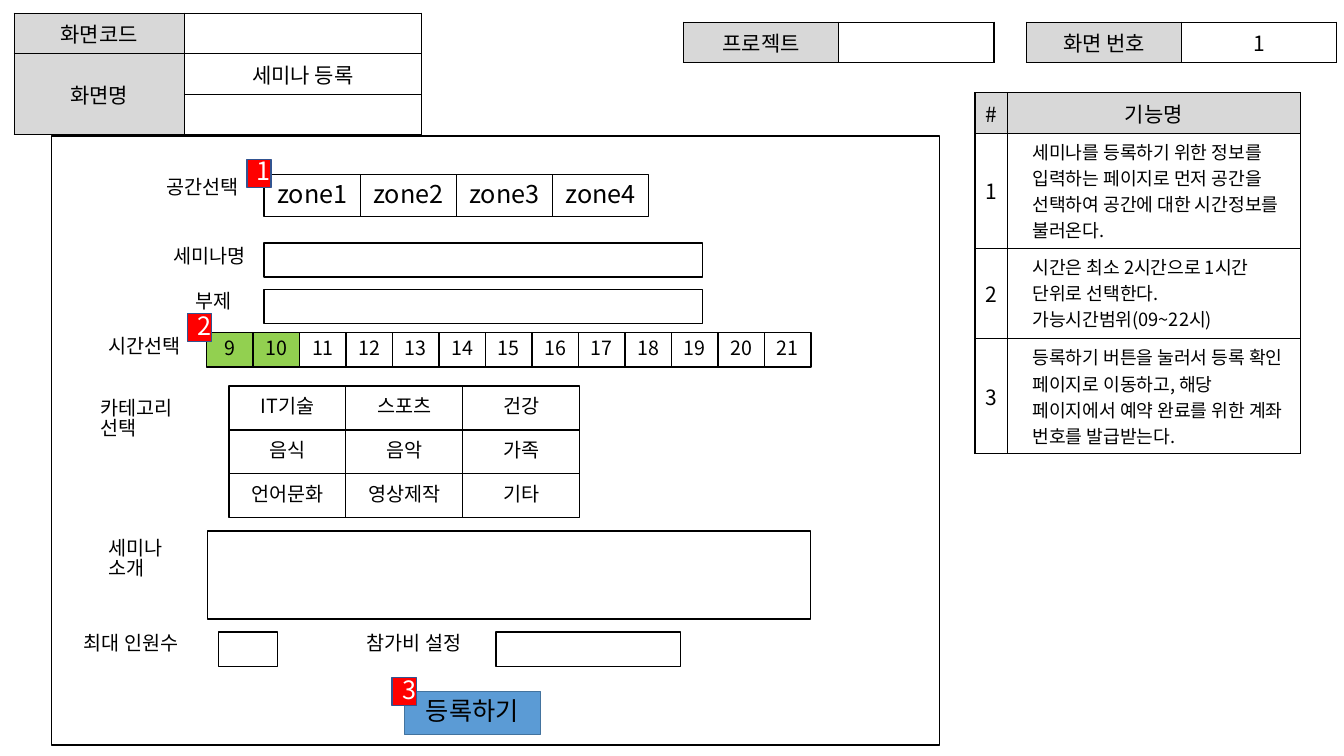
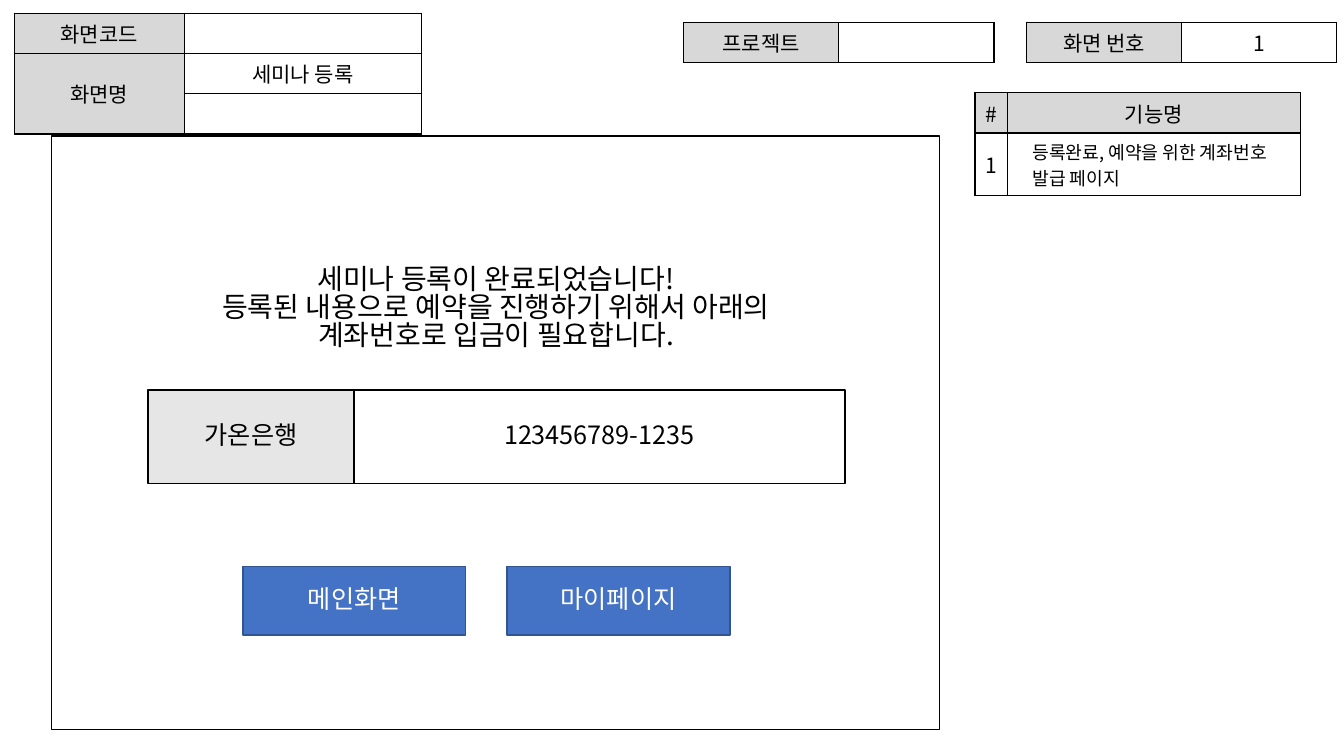
from lxml.etree import SubElement
from pptx import Presentation
from pptx.dml.color import RGBColor
from pptx.enum.shapes import MSO_SHAPE
from pptx.enum.text import MSO_ANCHOR, PP_ALIGN
from pptx.oxml import parse_xml
from pptx.oxml.ns import nsdecls, qn
from pptx.util import Inches, Pt

FONT = "Noto Sans CJK KR"
BLACK, WHITE, GRAY = "000000", "FFFFFF", "D8D8D8"
NAVY = "325491"
BORDER = (
    '<a:{side} {ns} w="12700"><a:solidFill><a:srgbClr val="{color}"/>'
    "</a:solidFill></a:{side}>"
)

# Each style: text size, text colour, fill, line, alignment, anchor, line spacing
BASE = dict(size=14, color=BLACK, fill=None, line=BLACK,
            align=PP_ALIGN.CENTER, anchor=MSO_ANCHOR.MIDDLE, spacing=0.83)
LABEL = dict(BASE, line=None, align=PP_ALIGN.LEFT, anchor=MSO_ANCHOR.TOP)
STYLES = {
    "field": BASE,
    "label": LABEL,
    "message": dict(LABEL, size=20, align=PP_ALIGN.CENTER),
    "picked": dict(BASE, fill="92D050"),
    "zone": dict(BASE, size=18),
    "bank": dict(BASE, size=18, fill="E7E6E6"),
    "submit": dict(BASE, size=18, fill="5B9BD5", line="43739E"),
    "button": dict(BASE, size=18, color=WHITE, fill="4472C4", line=NAVY),
    "badge": dict(BASE, size=18, color=WHITE, fill="FF0000", line=NAVY),
}
CELL = dict(BASE, size=15, spacing=1.0)
DESCRIPTION = dict(CELL, size=13, align=PP_ALIGN.LEFT, anchor=MSO_ANCHOR.TOP)


def write_text(text_frame, text, style):
    """Write one paragraph per line of text in the given style."""
    for index, line in enumerate(text.split("\n")):
        paragraph = text_frame.paragraphs[0] if index == 0 else text_frame.add_paragraph()
        paragraph.alignment = style["align"]
        paragraph.line_spacing = style["spacing"]
        if not line:
            SubElement(paragraph._p, qn("a:endParaRPr"), sz=str(style["size"] * 100))
            continue
        run = paragraph.add_run()
        run.text = line
        for name, value in dict(name=FONT, size=Pt(style["size"])).items():
            setattr(run.font, name, value)
        run.font.color.rgb = RGBColor.from_string(style["color"])
        SubElement(run._r.get_or_add_rPr(), qn("a:ea"), typeface=FONT)


def add_box(slide, place, text, style):
    """Add a rectangle, or a text box when the style has no line."""
    place = [Inches(length) for length in place]
    if style["line"] is None:
        shape = slide.shapes.add_textbox(*place)
    else:
        shape = slide.shapes.add_shape(MSO_SHAPE.RECTANGLE, *place)
        shape.shadow.inherit = False
        shape.line.color.rgb = RGBColor.from_string(style["line"])
        shape.line.width = Pt(1)
        if style["fill"]:
            shape.fill.solid()
            shape.fill.fore_color.rgb = RGBColor.from_string(style["fill"])
        else:
            shape.fill.background()
    shape.text_frame.word_wrap = True
    shape.text_frame.vertical_anchor = style["anchor"]
    write_text(shape.text_frame, text, style)


# Registration form: (place, text, style name)
form = [
    ((1.62, 2.41, 1.12, 0.34), "세미나명", "label"),
    ((2.62, 2.41, 4.35, 0.34), "", "field"),
    ((1.84, 2.86, 0.67, 0.34), "부제", "label"),
    ((2.62, 2.87, 4.35, 0.34), "", "field"),
    ((0.98, 3.3, 1.02, 0.34), "시간선택", "label"),
    ((1.55, 1.73, 1.02, 0.34), "공간선택", "label"),
    ((0.9, 3.92, 1.02, 0.57), "카테고리선택", "label"),
    ((0.98, 5.31, 0.86, 0.57), "세미나 소개", "label"),
    ((2.06, 5.27, 5.98, 0.87), "", "field"),
    ((4.01, 6.86, 1.35, 0.43), "등록하기", "submit"),
    ((0.73, 6.25, 1.52, 0.34), "최대 인원수", "label"),
    ((2.17, 6.27, 0.58, 0.34), "", "field"),
    ((3.54, 6.25, 1.52, 0.34), "참가비 설정", "label"),
    ((4.92, 6.27, 1.83, 0.34), "", "field"),
]
for index in range(4):
    form.append(((2.62 + index * 0.953, 1.73, 0.953, 0.42), f"zone{index + 1}", "zone"))
for index, hour in enumerate(range(9, 22)):
    style_name = "picked" if hour <= 10 else "field"
    form.append(((2.05 + index * 0.461, 3.3, 0.461, 0.34), str(hour), style_name))
categories = ["IT기술", "스포츠", "건강", "음식", "음악", "가족", "언어문화", "영상제작", "기타"]
for index, category in enumerate(categories):
    row, column = divmod(index, 3)
    place = (2.27 + column * 1.16, 3.83 + row * 0.435, 1.16, 0.435)
    form.append((place, category, "field"))
for number, (left, top) in enumerate([(2.45, 1.58), (1.86, 3.11), (3.89, 6.72)], 1):
    form.append(((left, top, 0.24, 0.28), str(number), "badge"))

confirmation = [
    ((1.64, 2.6, 6.56, 1.11),
     "세미나 등록이 완료되었습니다!\n"
     "등록된 내용으로 예약을 진행하기 위해서 아래의 계좌번호로 입금이 필요합니다.", "message"),
    ((5.03, 5.62, 2.21, 0.68), "마이페이지", "button"),
    ((2.41, 5.62, 2.21, 0.68), "메인화면", "button"),
    ((1.47, 3.87, 2.04, 0.93), "가온은행", "bank"),
    ((3.51, 3.87, 4.87, 0.93), "123456789-1235", "zone"),
]

# Each screen: frame height, boxes, functions as (row height, description)
screens = [
    (6.04, form, [
        (1.14, "세미나를 등록하기 위한 정보를 입력하는 페이지로 먼저 공간을 선택하여 "
               "공간에 대한 시간정보를 불러온다."),
        (0.9, "시간은 최소 2시간으로 1시간 단위로 선택한다.\n가능시간범위(09~22시)"),
        (1.14, "등록하기 버튼을 눌러서 등록 확인 페이지로 이동하고, 해당 페이지에서 "
               "예약 완료를 위한 계좌 번호를 발급받는다."),
    ]),
    (5.89, confirmation, [(0.62, "등록완료, 예약을 위한 계좌번호 발급 페이지")]),
]

# Header tables on every screen: left, top, column widths, row heights, texts
header_tables = [
    (0.14, 0.13, [1.69, 2.35], [0.4] * 3,
     [["화면코드", ""], ["화면명", "세미나 등록"], [None, ""]]),
    (10.18, 0.22, [1.54] * 2, [0.4], [["화면 번호", "1"]]),
    (6.78, 0.22, [1.54] * 2, [0.4], [["프로젝트", ""]]),
]

presentation = Presentation()
presentation.slide_width = Inches(13.33)
presentation.slide_height = Inches(7.5)

for frame_height, boxes, functions in screens:
    slide = presentation.slides.add_slide(presentation.slide_layouts[6])
    function_table = (
        9.67, 0.92, [0.32, 2.91], [0.4] + [height for height, _ in functions],
        [["#", "기능명"]]
        + [[str(number), text] for number, (_, text) in enumerate(functions, 1)],
    )
    for left, top, widths, heights, texts in header_tables + [function_table]:
        is_function_table = texts[0][0] == "#"
        place = [Inches(length) for length in (left, top, sum(widths), sum(heights))]
        table = slide.shapes.add_table(len(heights), len(widths), *place).table
        table.first_row = table.horz_banding = False
        for column, width in zip(table.columns, widths):
            column.width = Inches(width)
        for row_index, (height, row_texts) in enumerate(zip(heights, texts)):
            table.rows[row_index].height = Inches(height)
            for column_index, text in enumerate(row_texts):
                cell = table.cell(row_index, column_index)
                is_heading = row_index == 0 if is_function_table else column_index == 0
                is_description = is_function_table and not is_heading and column_index == 1
                style = DESCRIPTION if is_description else CELL
                cell.fill.solid()
                cell.fill.fore_color.rgb = RGBColor.from_string(GRAY if is_heading else WHITE)
                cell.vertical_anchor = style["anchor"]
                write_text(cell.text_frame, text or "", style)
                if is_description:
                    for paragraph in cell.text_frame.paragraphs:
                        paragraph._p.get_or_add_pPr().set("marL", str(Inches(0.15)))
                properties = cell._tc.get_or_add_tcPr()
                for position, side in enumerate(("lnL", "lnR", "lnT", "lnB")):
                    border = BORDER.format(side=side, ns=nsdecls("a"), color=BLACK)
                    properties.insert(position, parse_xml(border))
                if text is None:
                    table.cell(row_index - 1, column_index).merge(cell)

    add_box(slide, (0.51, 1.35, 8.81, frame_height), "", STYLES["field"])
    for place, text, style_name in boxes:
        add_box(slide, place, text, STYLES[style_name])

presentation.save("out.pptx")
